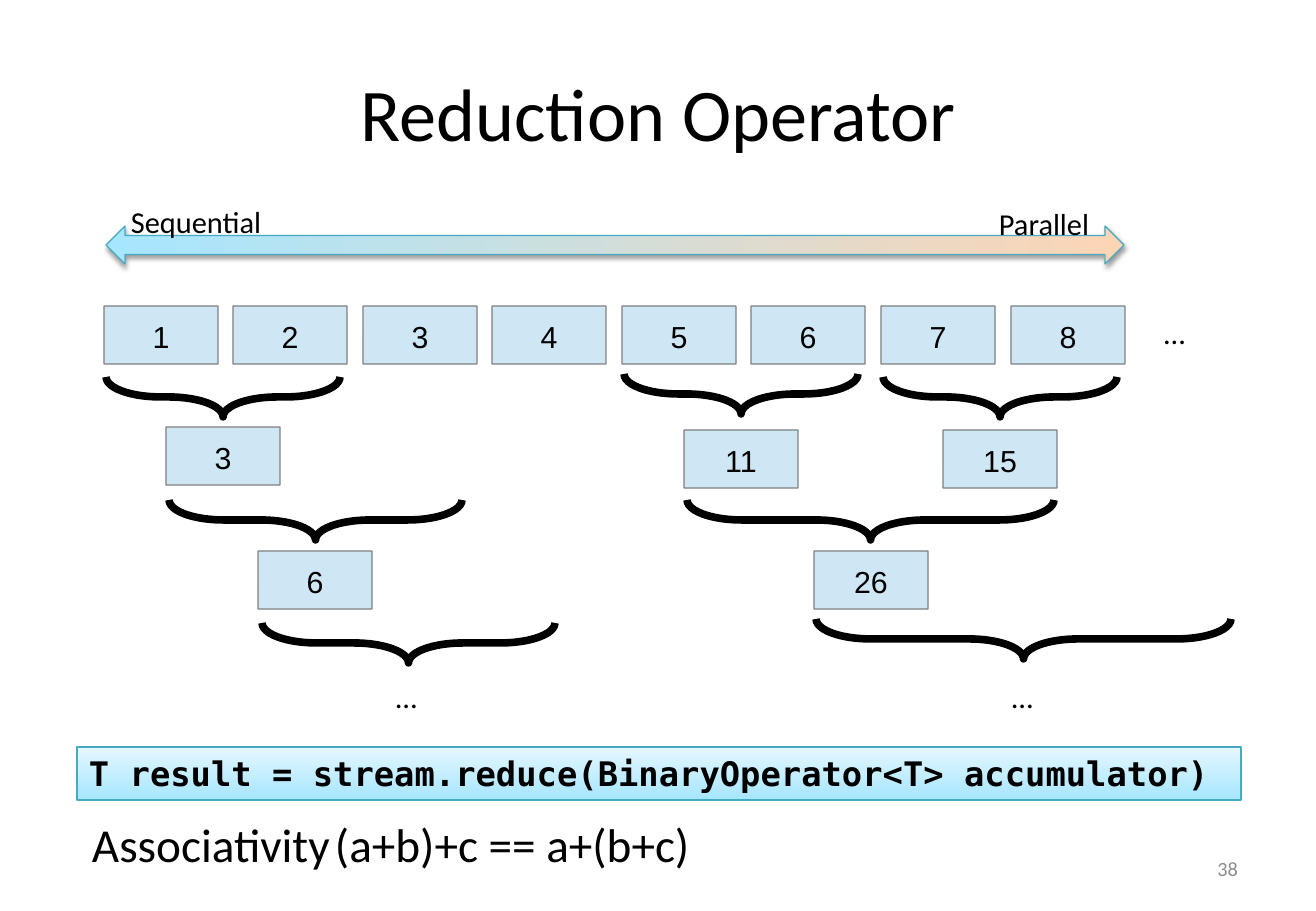
import pptx
import pptx.dml.color
import pptx.enum.shapes
import pptx.enum.text
import pptx.oxml
import pptx.oxml.ns
import pptx.util

SHAPE = pptx.enum.shapes.MSO_SHAPE
ALIGN = pptx.enum.text.PP_ALIGN
ANCHOR = pptx.enum.text.MSO_ANCHOR
COLORS = {
    "text": "000000", "number": "8C8C8C", "cell": "CFE7F5", "cell_line": "808080",
    "sequential": "A7E6FF", "parallel": "FCD5B5", "arrow_line": "46AAC5",
    "code_top": "E6F7FF", "code_bottom": "A6E6FF", "code_line": "46AAC4",
}
NS = pptx.oxml.ns.nsdecls("a")


def px(value):
    return round(value * 914400 / 121.5)


def color(name):
    return pptx.dml.color.RGBColor.from_string(COLORS[name])


def assign(target, values):
    for name, value in values.items():
        setattr(target, name, value)


class SlideBuilder:
    def __init__(self, slide, font="Calibri"):
        self.slide = slide
        self.font = font

    def set_text(self, shape, text, size=18, font=None, ink="text", bold=False,
                 align=ALIGN.LEFT, anchor=ANCHOR.TOP, margins=(12, 6, 12, 6), wrap=True):
        left, top, right, bottom = map(px, margins)
        frame = shape.text_frame
        assign(frame, {
            "text": text, "word_wrap": wrap, "vertical_anchor": anchor,
            "auto_size": pptx.enum.text.MSO_AUTO_SIZE.NONE,
            "margin_left": left, "margin_top": top,
            "margin_right": right, "margin_bottom": bottom,
        })
        paragraph = frame.paragraphs[0]
        paragraph.alignment = align
        run_font = paragraph.runs[0].font
        assign(run_font, {"name": font or self.font, "bold": bold,
                          "size": pptx.util.Pt(size)})
        run_font.color.rgb = color(ink)
        return paragraph

    def placeholder(self, index, box, text, **style):
        holder = self.slide.placeholders[index]
        assign(holder, dict(zip(("left", "top", "width", "height"), map(px, box))))
        return self.set_text(holder, text, **style)

    def label(self, box, text, **style):
        textbox = self.slide.shapes.add_textbox(*map(px, box))
        return self.set_text(textbox, text, **style)

    def shape(self, kind, box, line, weight=0.75, fill=None):
        shape = self.slide.shapes.add_shape(kind, *map(px, box))
        shape.shadow.inherit = False
        shape.line.color.rgb = color(line)
        shape.line.width = pptx.util.Pt(weight)
        if fill:
            shape.fill.solid()
            shape.fill.fore_color.rgb = color(fill)
        else:
            shape.fill.background()
        return shape

    def gradient(self, shape, names, angle):
        shape.fill.gradient()
        shape.fill.gradient_angle = angle
        for stop, name in zip(shape.fill.gradient_stops, names):
            stop.color.rgb = color(name)

    def cell(self, left, top, value):
        cell = self.shape(SHAPE.ROUNDED_RECTANGLE, (left, top, 114, 58),
                          "cell_line", fill="cell")
        cell.adjustments[0] = 0.004
        self.set_text(cell, str(value), font="Arial", align=ALIGN.CENTER,
                      anchor=ANCHOR.MIDDLE, margins=(12, 8, 12, 6))

    def brace(self, left, top, span, depth=40):
        box = (left + (span - depth) / 2, top - (span - depth) / 2, depth, span)
        brace = self.shape(SHAPE.RIGHT_BRACE, box, "text", weight=4.5)
        brace.rotation = 90
        brace.adjustments[0] = 1.369

    def scale_arrow(self, box):
        arrow = self.shape(SHAPE.LEFT_RIGHT_ARROW, box, "arrow_line")
        self.gradient(arrow, ("sequential", "parallel"), 0)
        effects = arrow._element.spPr.find(pptx.oxml.ns.qn("a:effectLst"))
        effects.append(pptx.oxml.parse_xml(
            f'<a:outerShdw {NS} blurRad="39370" dist="20320" dir="5400000" rotWithShape="0">'
            f'<a:srgbClr val="{COLORS["text"]}"><a:alpha val="38000"/></a:srgbClr>'
            '</a:outerShdw>'))

    def code(self, box, text):
        bar = self.shape(SHAPE.RECTANGLE, box, "code_line")
        self.gradient(bar, ("code_top", "code_bottom"), 270)
        self.set_text(bar, text, size=20, font="DejaVu Sans Mono", bold=True)

    def law(self, box, name, formula, tab):
        paragraph = self.placeholder(1, box, f"{name}\t{formula}", size=28)
        assign(paragraph, {"space_before": pptx.util.Pt(6.4),
                           "space_after": pptx.util.Pt(14.2)})
        properties = paragraph._p.get_or_add_pPr()
        properties.set("marL", "0")
        properties.set("indent", "0")
        for xml in (f"<a:buNone {NS}/>",
                    f'<a:tabLst {NS}><a:tab pos="{px(tab)}" algn="l"/></a:tabLst>'):
            properties.append(pptx.oxml.parse_xml(xml))


presentation = pptx.Presentation()
assign(presentation, {"slide_width": px(1316), "slide_height": px(911)})
builder = SlideBuilder(presentation.slides.add_slide(presentation.slide_layouts[1]))

builder.placeholder(0, (66, 36, 1185, 152), "Reduction Operator", size=44,
                    align=ALIGN.CENTER, anchor=ANCHOR.MIDDLE)
builder.law((80, 809, 1185, 77), "Associativity", "(a+b)+c == a+(b+c)", 653)

for index in range(8):
    builder.cell(104 + 907 * index // 7, 306, index + 1)
builder.label((1151, 306, 103, 46), "...", margins=(12, 8, 12, 6))

partial_sums = [(166, 427, 3), (684, 430, 11), (943, 430, 15), (258, 551, 6), (814, 551, 26)]
for left, top, total in partial_sums:
    builder.cell(left, top, total)

reductions = [(106, 377, 234), (624, 374, 234), (883, 377, 234), (169, 500, 293),
              (687, 500, 367), (816, 619, 415), (262, 623, 293)]
for left, top, span in reductions:
    builder.brace(left, top, span)

for left in (384, 1000):
    builder.label((left, 672, 46, 49), "…", wrap=False)

builder.scale_arrow((106, 226, 1018, 38))
builder.label((119, 197, 157, 49), "Sequential", wrap=False)
builder.label((987, 199, 115, 49), "Parallel", wrap=False)

builder.code((77, 747, 1164, 53), "T result = stream.reduce(BinaryOperator<T> accumulator)")
builder.label((943, 844, 307, 49), "38", size=12, ink="number",
              align=ALIGN.RIGHT, anchor=ANCHOR.MIDDLE)

presentation.save("out.pptx")
